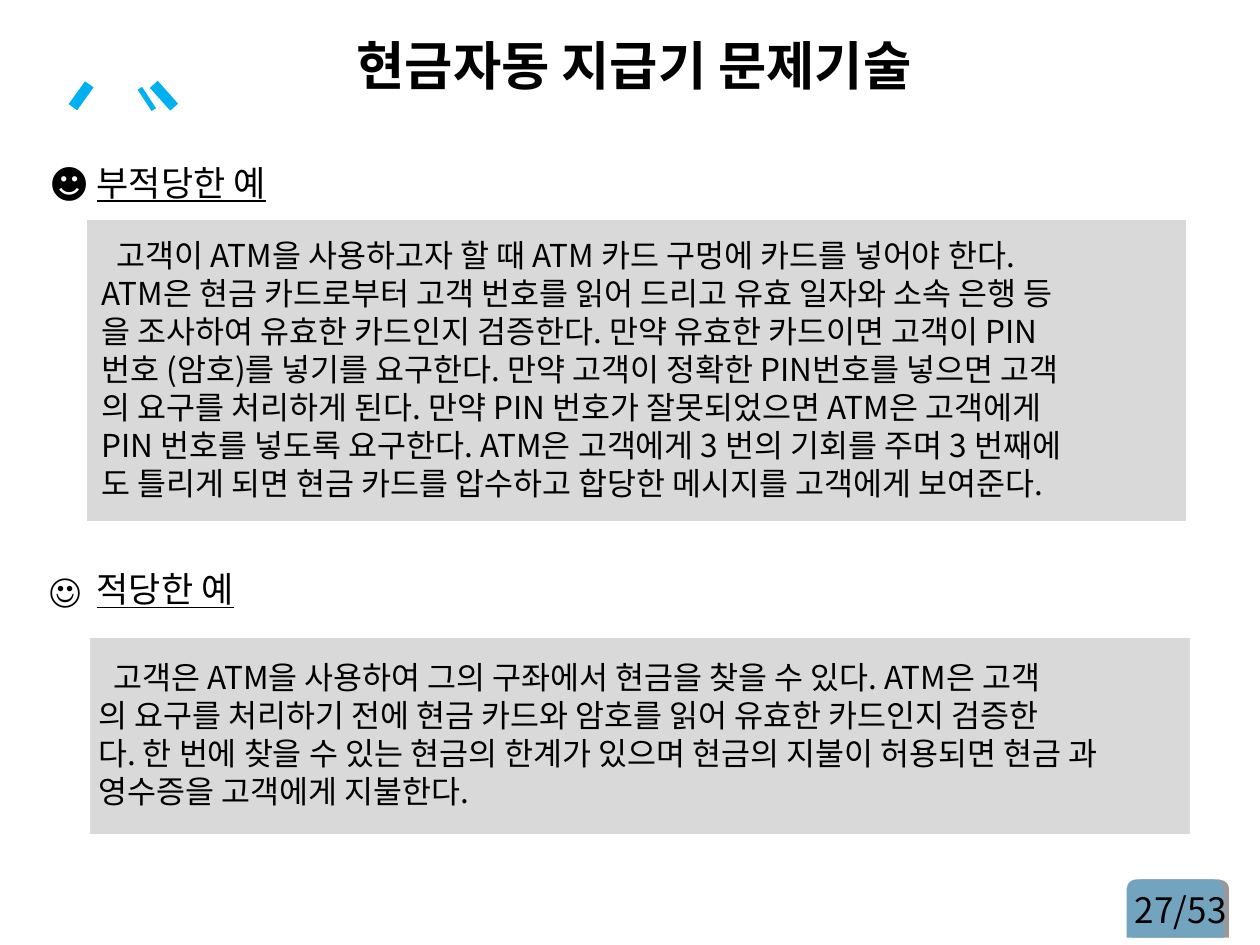
from lxml import etree
from pptx import Presentation
from pptx.dml.color import RGBColor
from pptx.enum.shapes import MSO_CONNECTOR, MSO_SHAPE
from pptx.enum.text import MSO_ANCHOR, PP_ALIGN
from pptx.oxml.ns import qn
from pptx.util import Cm, Pt

LINE = MSO_CONNECTOR.STRAIGHT
RECT, TAB = MSO_SHAPE.RECTANGLE, MSO_SHAPE.ROUND_2_SAME_RECTANGLE
MIDDLE, CENTER = MSO_ANCHOR.MIDDLE, PP_ALIGN.CENTER
KR, SC = "Noto Sans CJK KR", "Noto Sans CJK SC"
COLORS = {"ink": "000000", "panel": "D9D9D9", "edge": "FFFFFF",
          "stroke": "00B0F0", "tab": "73A4BF"}

TITLE = "현금자동 지급기 문제기술"
PAGE = "27/53"
HEADS = [("☻", 110, "부적당한 예", 0), ("☺", 100, "적당한 예", 208)]
BAD = [
    "고객이 ATM을 사용하고자 할 때 ATM 카드 구멍에 카드를 넣어야 한다.",
    "ATM은 현금 카드로부터 고객 번호를 읽어 드리고 유효 일자와 소속 은행 등",
    "을 조사하여 유효한 카드인지 검증한다. 만약 유효한 카드이면 고객이 PIN",
    "번호 (암호)를 넣기를 요구한다. 만약 고객이 정확한 PIN번호를 넣으면 고객",
    "의 요구를 처리하게 된다. 만약 PIN 번호가 잘못되었으면 ATM은 고객에게",
    "PIN 번호를 넣도록 요구한다. ATM은 고객에게 3 번의 기회를 주며 3 번째에",
    "도 틀리게 되면 현금 카드를 압수하고 합당한 메시지를 고객에게 보여준다.",
]
GOOD = [
    "고객은 ATM을 사용하여 그의 구좌에서 현금을 찾을 수 있다. ATM은 고객",
    "의 요구를 처리하기 전에 현금 카드와 암호를 읽어 유효한 카드인지 검증한",
    "다. 한 번에 찾을 수 있는 현금의 한계가 있으며 현금의 지불이 허용되면 현금 과 "
    "영수증을 고객에게 지불한다.",
]
# Boxes are left, top, width, height in cm
PANELS = [
    ((1.73, 4.42, 22.2, 6.1), (1.8, 4.62, 22.35, 6.35), BAD),
    ((1.8, 12.85, 22.2, 3.99), (1.73, 13.13, 22.94, 4.06), GOOD),
]
# Start x, y, end x, y in cm, then width in points
STROKES = [
    (1.8, 1.7, 1.47, 2.16, 6),
    (2.82, 1.78, 3.1, 2.21, 3),
    (3.1, 1.7, 3.51, 2.16, 6),
]


def rgb(name):
    return RGBColor.from_string(COLORS[name])


def add(parent, tag, **attrs):
    return etree.SubElement(parent, qn(tag), attrs)


def block(kind, box, fill):
    shape = slide.shapes.add_shape(kind, *map(Cm, box))
    shape.shadow.inherit = False
    shape.fill.solid()
    shape.fill.fore_color.rgb = rgb(fill)
    return shape


def text(box, lines, size, face=KR, **font):
    """Add a text box with one paragraph per line; return its frame."""
    frame = slide.shapes.add_textbox(*map(Cm, box)).text_frame
    frame.word_wrap = True
    for i, line in enumerate(lines):
        para = frame.paragraphs[0] if i == 0 else frame.add_paragraph()
        para.line_spacing = Pt(round(size * 1.205, 1))
        run = para.add_run()
        run.text = line
        run.font.color.rgb = rgb("ink")
        for key, value in {"size": Pt(size), "name": face, **font}.items():
            setattr(run.font, key, value)
        add(run.font._element, "a:ea", typeface=face)
    return frame


prs = Presentation()
prs.slide_width, prs.slide_height = Cm(25.4), Cm(19.05)
slide = prs.slides.add_slide(prs.slide_layouts[6])

for *ends, width in STROKES:
    stroke = slide.shapes.add_connector(LINE, *map(Cm, ends))
    stroke.line.color.rgb = rgb("stroke")
    stroke.line.width = Pt(width)
    add(stroke._element.spPr, "a:effectLst")

tab = block(TAB, (22.71, 17.73, 1.96, 1.17), "tab")
tab.line.fill.background()
tab.adjustments[0] = 0.17
glow = add(tab._element.spPr.find(qn("a:effectLst")), "a:outerShdw",
           dist=str(Pt(3)), dir="0", algn="ctr", rotWithShape="0")
shade = add(glow, "a:srgbClr", val=COLORS["ink"])
add(shade, "a:alpha", val="40000")
text((22.63, 17.78, 2.74, 1.2), [PAGE], 20, SC)

title = text((4.29, 0.71, 16.99, 1.19), [TITLE], 30, bold=True)
title.vertical_anchor = MIDDLE
title.paragraphs[0].alignment = CENTER

heads = text((0.74, 3.12, 23.93, 14.25), [h[2] for h in HEADS], 20, underline=True)
for para, (mark, scale, _, gap) in zip(heads.paragraphs, HEADS):
    para.space_before = Pt(gap)
    props = para._p.get_or_add_pPr()
    props.set("marL", str(Cm(0.96)))
    props.set("indent", str(Cm(-0.96)))
    add(add(props, "a:buClr"), "a:srgbClr", val=COLORS["ink"])
    add(props, "a:buSzPct", val=str(scale * 1000))
    add(props, "a:buFont", typeface=KR)
    add(props, "a:buChar", char=mark)

for panel, box, lines in PANELS:
    back = block(RECT, panel, "panel")
    back.line.color.rgb = rgb("edge")
    back.line.width = Pt(1)
    body = text(box, lines, 18)
    body.paragraphs[0]._p.get_or_add_pPr().set("indent", str(Cm(0.3)))

prs.save("out.pptx")
